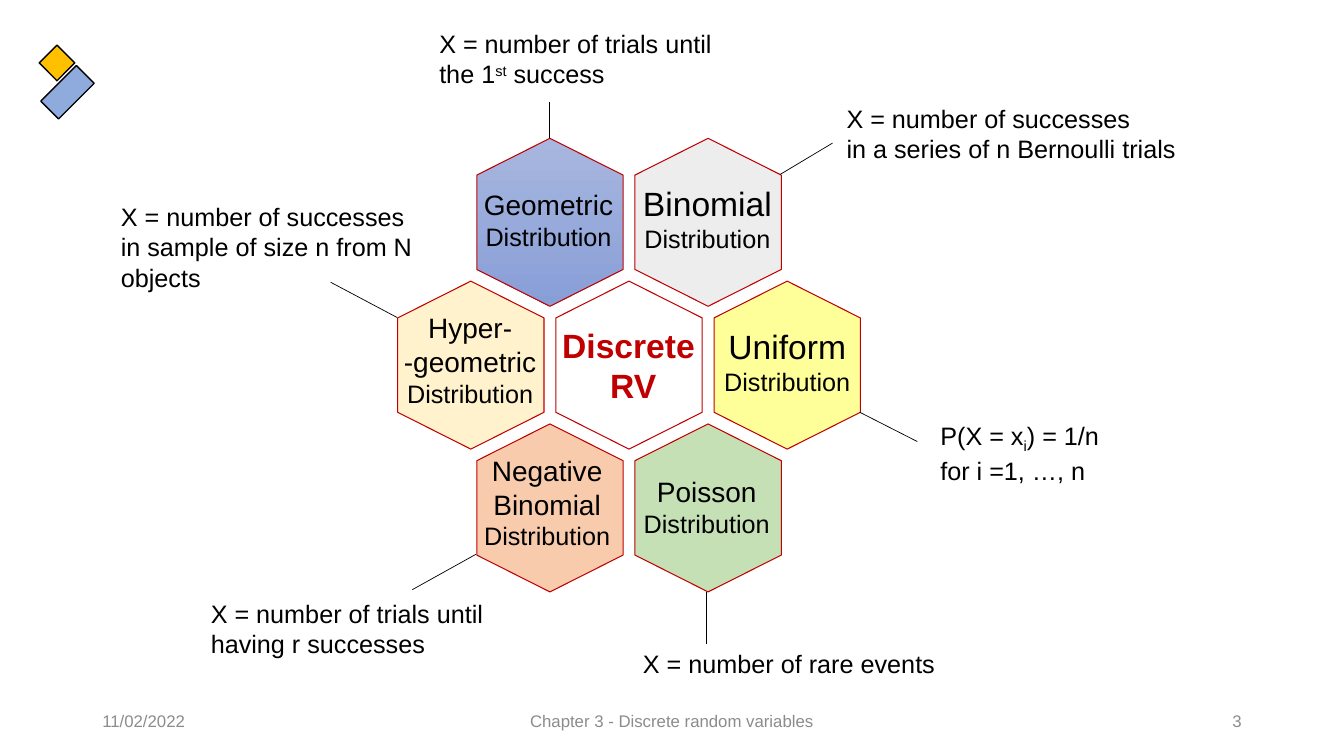
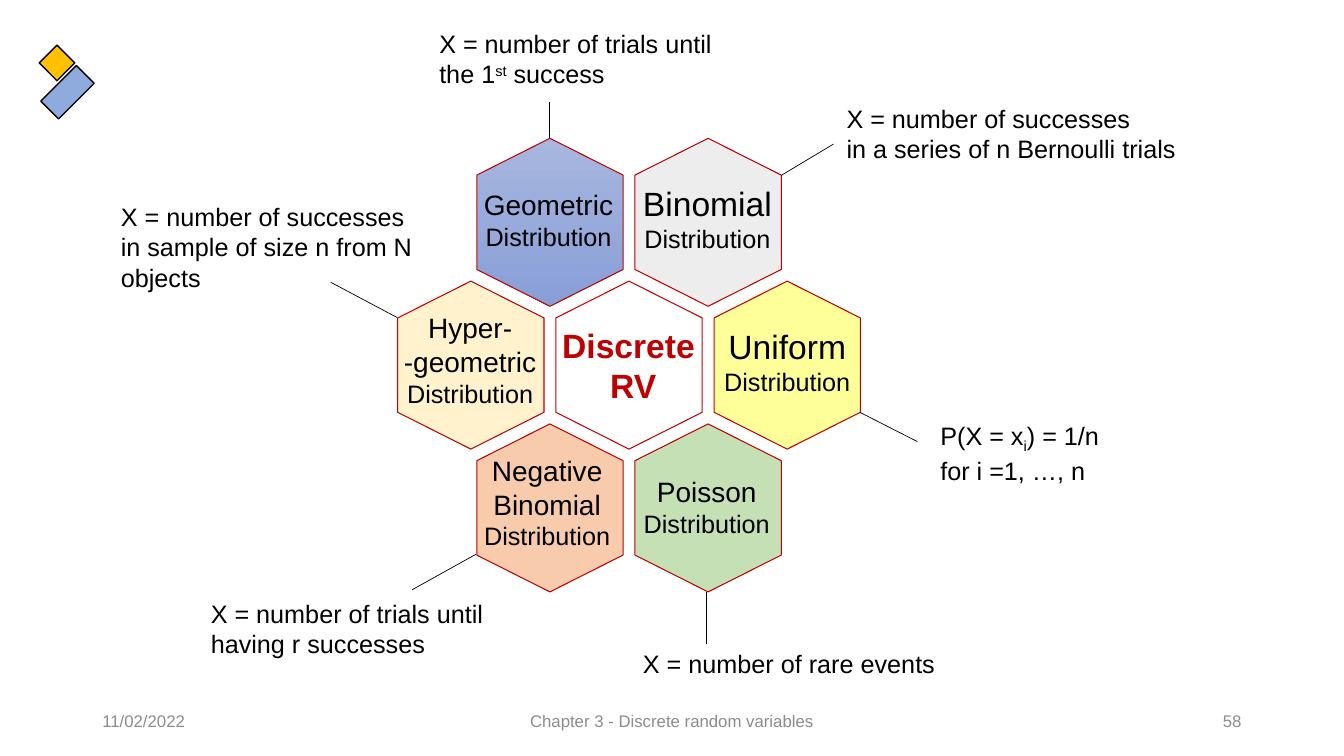
from pptx import Presentation
from pptx.dml.color import RGBColor
from pptx.enum.shapes import MSO_CONNECTOR as Connector, MSO_SHAPE as Shape
from pptx.enum.text import MSO_ANCHOR as Anchor, MSO_AUTO_SIZE as AutoSize, PP_ALIGN as Align
from pptx.oxml.ns import qn
from pptx.util import Pt
from lxml import etree

COLORS = {
    "ink": "000000", "accent": "C00000", "muted": "8C8C8C",
    "blue": "8FAADC", "amber": "FFC000", "yellow": "FFFF99",
    "sky": "A8B7DF", "periwinkle": "889ED7", "gray": "EDEDED",
    "white": "FFFFFF", "cream": "FFF2CC", "peach": "F8CBAD", "green": "C5E0B4",
}
FONT = "Arial"
HEX_WIDTH, HEX_HEIGHT, SHOULDER = 104.5, 120, 26.3
CENTER_X, CENTER_Y, PITCH_X, PITCH_Y = 449.3, 260.8, 113, 102
LABEL_WIDTH = 120

CELLS = [
    (1, 0, ["yellow"], ["Uniform", "Distribution"], 24, (0, -3)),
    (-0.5, -1, ["sky", "periwinkle"], ["Geometric", "Distribution"], 20, (-1, -2)),
    (0.5, -1, ["gray"], ["Binomial", "Distribution"], 24, (-0.5, -3)),
    (0, 0, ["white"], ["Discrete ", "RV"], 24, (3, 0)),
    (-1, 0, ["cream"], ["Hyper-", "-geometric", "Distribution"], 20, (-0.5, -4)),
    (-0.5, 1, ["peach"], ["Negative", "Binomial", "Distribution"], 20, (-2, -4)),
    (0.5, 1, ["green"], ["Poisson", "Distribution"], 20, (-1, -1)),
]
CALLOUTS = [
    (["X = number of successes", "in a series of n Bernoulli trials"],
     (597.6, 70.4, 252, 51), False, 0),
    (["P(X = x|i|) = 1/n", "for i =1, …, n"], (664.6, 296.8, 134.6, 51), False, -25000),
    (["X = number of rare events"], (452.2, 459.8, 225.4, 29), False, 0),
    (["X = number of successes", "in sample of size n from N objects"],
     (79.2, 140.4, 236.9, 72.7), True, 0),
    (["X = number of trials until having r successes"], (143.5, 423.8, 213.8, 51), True, 0),
    (["X = number of trials until the 1|st| success"],
     (306.7, 16.6, 213.8, 51), True, 30000),
]
LEADERS = [
    (614.2, 294.5, 655.2, 315.4),
    (504.7, 422.6, 504.7, 460),
    (339.8, 396, 294.5, 421.2),
    (283.7, 226.8, 236.2, 201.6),
    (392.4, 98.6, 392.4, 72.7),
]
BINOMIAL_LEADER = (557.3, 124.6, 594.7, 102.2)


def rgb(color):
    return RGBColor.from_string(COLORS[color])


class Deck:
    def __init__(self):
        self.presentation = Presentation()
        self.presentation.slide_width = Pt(960)
        self.presentation.slide_height = Pt(540)

    def new_slide(self):
        self.slide = self.presentation.slides.add_slide(self.presentation.slide_layouts[6])
        self.shapes = self.slide.shapes

    def open_group(self):
        self.shapes = self.slide.shapes.add_group_shape().shapes

    def close_group(self):
        self.shapes = self.slide.shapes

    def style(self, shape, fills, line, width):
        shape.shadow.inherit = False
        if len(fills) == 1:
            shape.fill.solid()
            shape.fill.fore_color.rgb = rgb(fills[0])
        else:
            shape.fill.gradient()
            shape.fill.gradient_angle = 270
            for stop, color in zip(shape.fill.gradient_stops, fills):
                stop.color.rgb = rgb(color)
        shape.line.color.rgb = rgb(line)
        shape.line.width = Pt(width)

    def block(self, box, angle, fill):
        block = self.shapes.add_shape(Shape.RECTANGLE, *map(Pt, box))
        block.rotation = angle
        self.style(block, [fill], "ink", 1)

    def hexagon(self, x, y, fills):
        half_width, half_height = HEX_WIDTH / 2, HEX_HEIGHT / 2
        side = half_height - SHOULDER
        corners = [(0, -half_height), (half_width, -side), (half_width, side),
                   (0, half_height), (-half_width, side), (-half_width, -side)]
        points = [(Pt(x + dx), Pt(y + dy)) for dx, dy in corners]
        outline = self.shapes.build_freeform(*points[0], scale=1.0)
        outline.add_line_segments(points[1:], close=True)
        self.style(outline.convert_to_shape(), fills, "accent", 0.75)

    def leader(self, ends):
        leader = self.shapes.add_connector(Connector.STRAIGHT, *map(Pt, ends))
        leader.line.color.rgb = rgb("ink")
        leader.line.width = Pt(0.5)
        properties = leader._element.find(qn("p:spPr"))
        etree.SubElement(properties, qn("a:effectLst"))

    def text(self, lines, box, sizes, color="ink", align=Align.LEFT, bold=False,
             wrap=True, grow=True, anchor=Anchor.TOP, baseline=0):
        frame = self.shapes.add_textbox(*map(Pt, box)).text_frame
        frame.word_wrap = wrap
        frame.auto_size = AutoSize.SHAPE_TO_FIT_TEXT if grow else AutoSize.NONE
        frame.vertical_anchor = anchor
        frame.text = "\n".join(lines)
        for paragraph, size in zip(frame.paragraphs, sizes):
            paragraph.alignment = align
            first, *others = paragraph.text.split("|")
            paragraph.text = first
            for part in others:
                paragraph.add_run().text = part
            for position, run in enumerate(paragraph.runs):
                run.font.name = FONT
                run.font.size = Pt(size)
                run.font.bold = bold
                run.font.color.rgb = rgb(color)
                if position % 2:
                    run._r.get_or_add_rPr().set("baseline", str(baseline))

    def emblem(self):
        self.open_group()
        self.block((30.2, 56.9, 36, 18), 135, "blue")
        self.block((31.7, 36, 18, 18), 45, "amber")
        self.close_group()

    def footer(self, number):
        for words, left, width, align in [
            (number, 678, 216, Align.RIGHT),
            ("Chapter 3 - Discrete random variables", 318, 324, Align.CENTER),
            ("11/02/2022", 66, 216, Align.LEFT),
        ]:
            self.text([words], (left, 500.5, width, 28.8), [12], "muted", align,
                      grow=False, anchor=Anchor.MIDDLE)

    def cell_label(self, x, y, lines, size):
        sizes = [18 if line == "Distribution" else size for line in lines]
        height = sum(sizes) * 1.2 + 7.2
        central = "RV" in lines
        self.text(lines, (x - LABEL_WIDTH / 2, y - height / 2, LABEL_WIDTH, height), sizes,
                  "accent" if central else "ink", Align.CENTER, central, wrap=False)

    def distribution_map(self, nudge):
        self.open_group()
        centers = [(CENTER_X + column * PITCH_X, CENTER_Y + row * PITCH_Y)
                   for column, row, *_ in CELLS]
        for (x, y), cell in zip(centers, CELLS):
            self.hexagon(x, y, cell[2])
        for (x, y), (*_, lines, size, (dx, dy)) in zip(centers, CELLS):
            self.cell_label(x + dx, y + dy, lines, size)
        for ends in [*LEADERS, [end + nudge for end in BINOMIAL_LEADER]]:
            self.leader(ends)
        for lines, box, wrap, baseline in CALLOUTS:
            self.text(lines, box, [18] * len(lines), wrap=wrap, baseline=baseline)
        self.close_group()


def main():
    deck = Deck()
    for number, nudge in [("3", 0), ("58", 0.7)]:
        deck.new_slide()
        deck.emblem()
        deck.distribution_map(nudge)
        deck.footer(number)
    deck.presentation.save("out.pptx")


if __name__ == "__main__":
    main()
